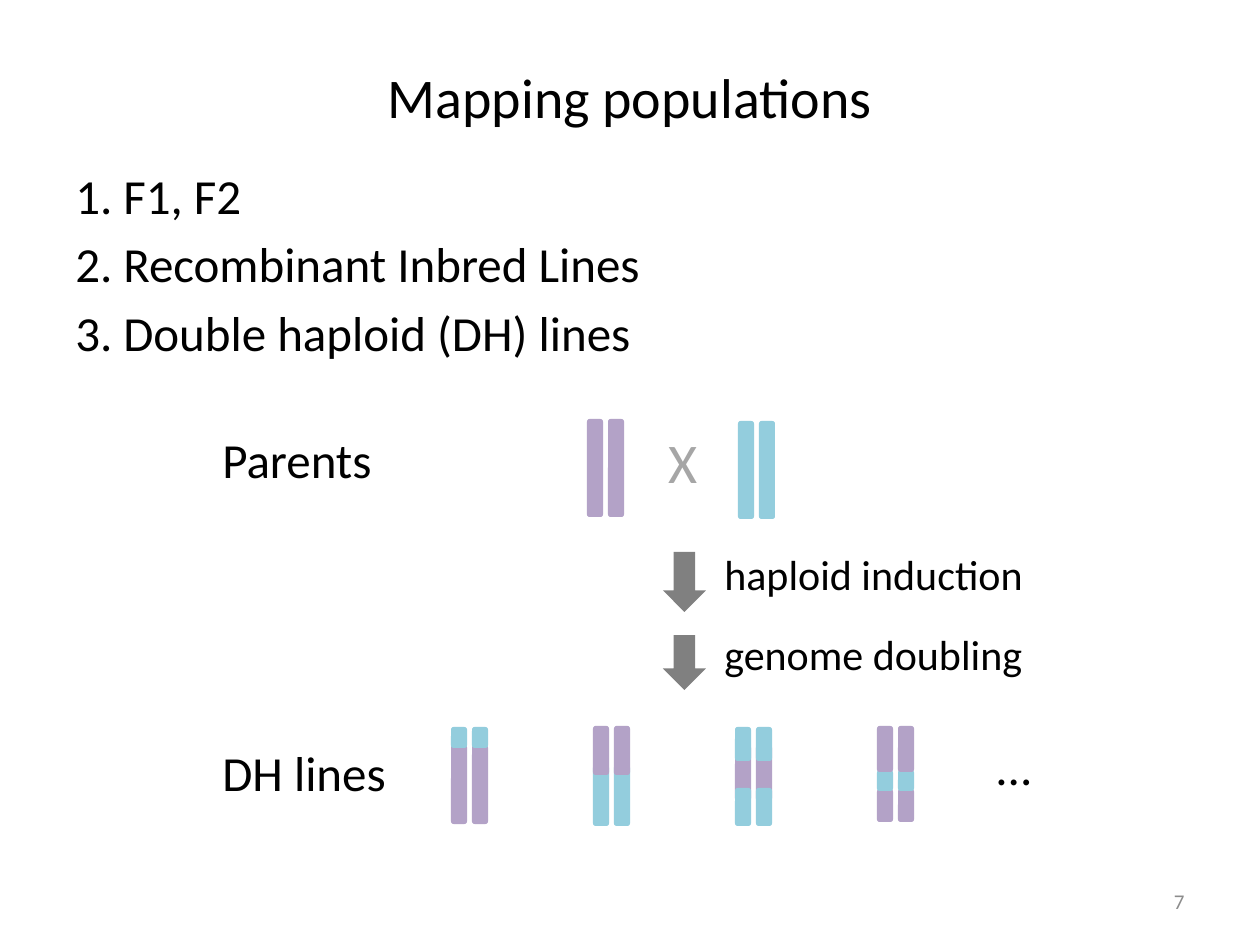
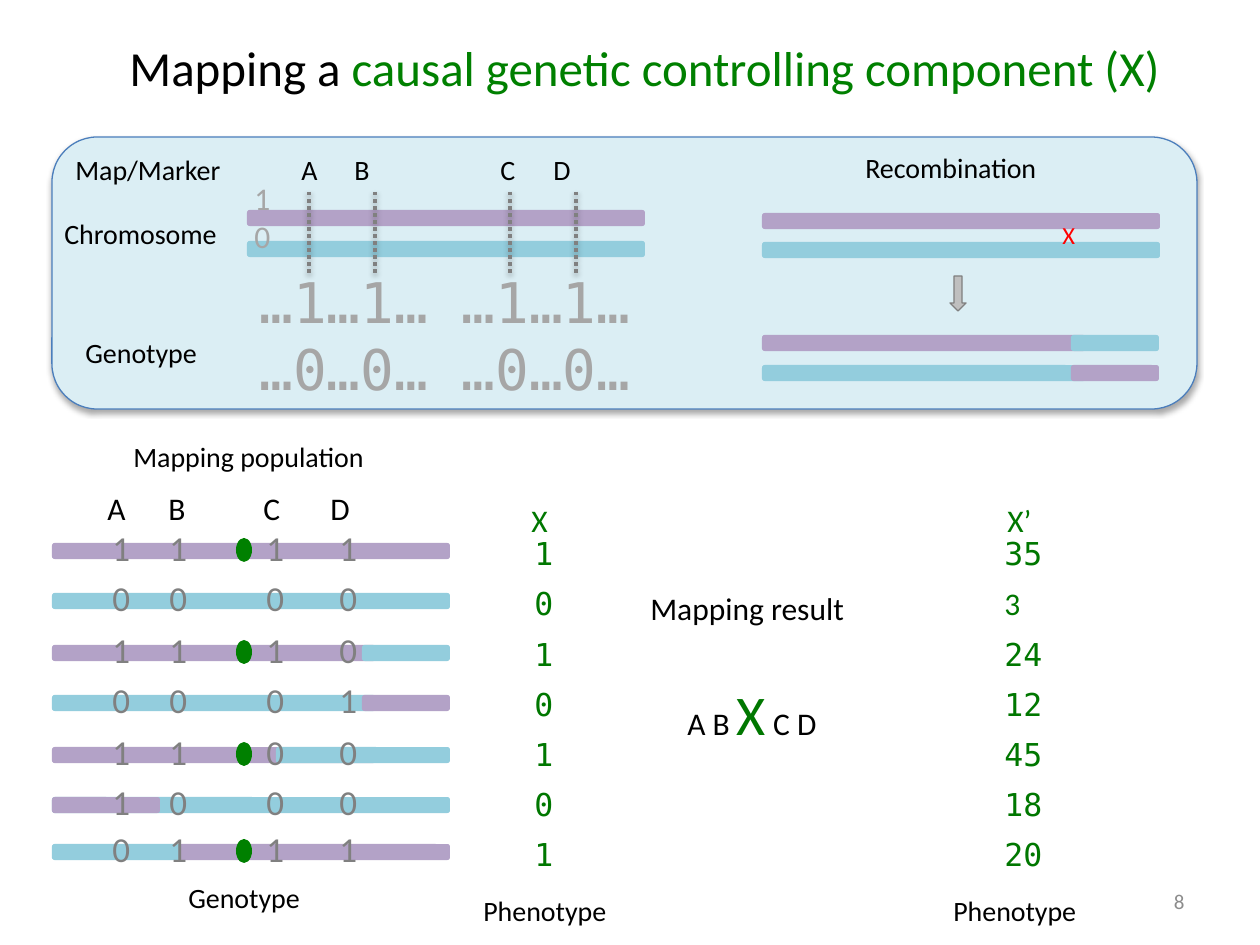
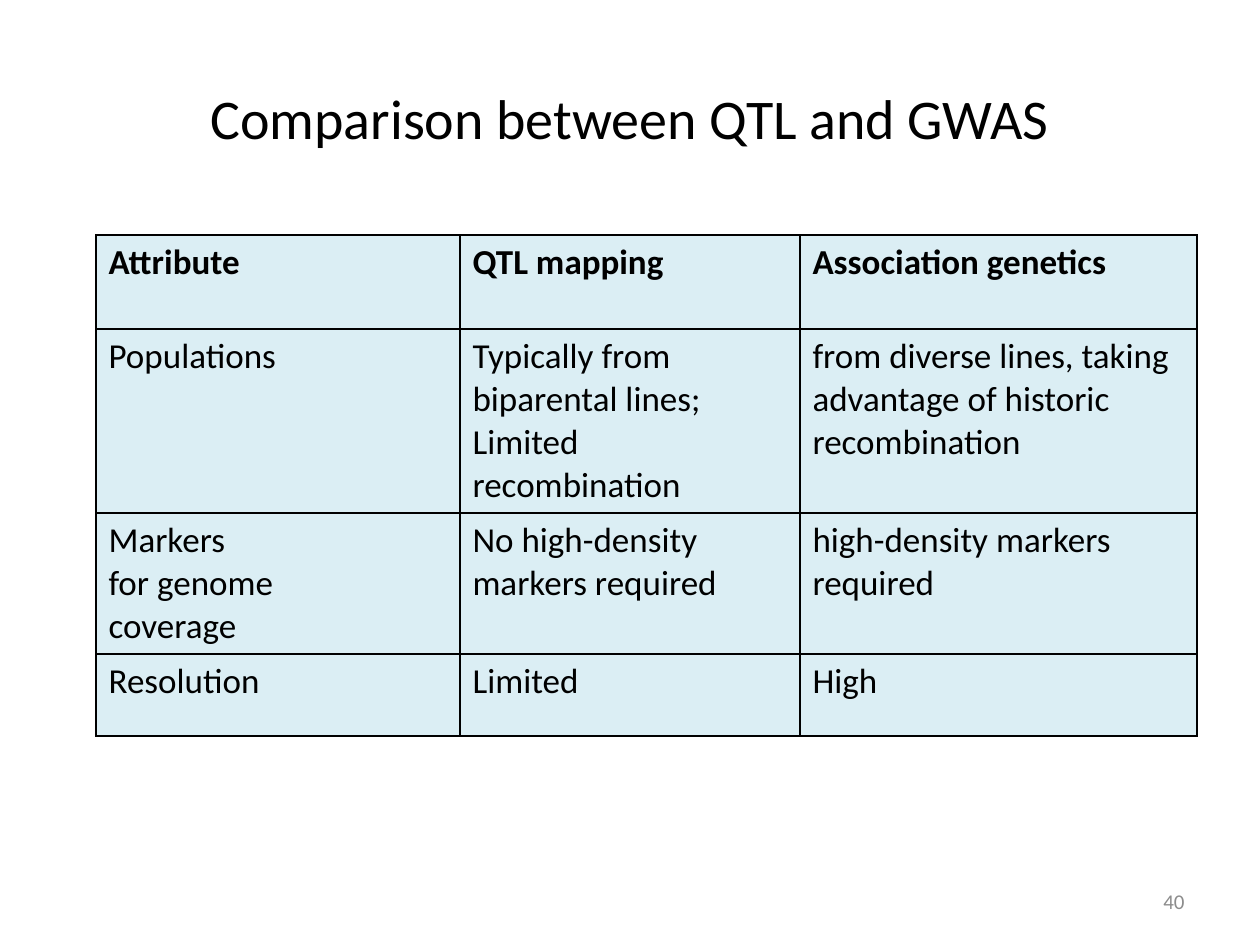
"""Build three slides on mapping populations, causal components and QTL versus GWAS."""
from dataclasses import dataclass

from lxml.etree import SubElement
from pptx import Presentation
from pptx.dml.color import RGBColor
from pptx.enum.dml import MSO_LINE
from pptx.enum.shapes import MSO_CONNECTOR, MSO_SHAPE
from pptx.enum.text import MSO_ANCHOR, MSO_AUTO_SIZE, PP_ALIGN
from pptx.oxml.ns import qn
from pptx.util import Pt


@dataclass(frozen=True)
class Theme:
    sans: str = "Calibri"
    mono: str = "DejaVu Sans Mono"
    ink: str = "000000"
    muted: str = "8C8C8C"
    gray: str = "808080"
    light_gray: str = "A6A6A6"
    arrow: str = "BFBFBF"
    purple: str = "B3A2C7"
    blue: str = "93CDDD"
    panel: str = "DBEEF4"
    panel_line: str = "4B7EBC"
    green: str = "008000"
    trait: str = "007700"
    red: str = "FF0000"
    title: int = 32
    subtitle: int = 28
    body: int = 28
    step: int = 24
    cell: int = 20
    score: int = 20
    value: int = 18
    label: int = 16
    mark: int = 14
    number: int = 12


T = Theme()
PX = 914400 / 126
P, B = T.purple, T.blue
BAR = 16
BAR_LENGTH = 398

POPULATIONS = ["F1, F2", "Recombinant Inbred Lines", "Double haploid (DH) lines"]
STEPS = ["haploid induction", "genome doubling"]
STEP_ARROWS = [(552, 60), (635, 55)]
PARENTS = [(587, 419, P), (738, 421, B)]
DH_LINES = [
    [(P, 745, 79), (B, 727, 21)],
    [(B, 765, 61), (P, 726, 49)],
    [(P, 745, 56), (B, 727, 34), (B, 788, 38)],
    [(P, 789, 33), (B, 770, 21), (P, 726, 46)],
]
DH_LABELS = [
    ("Parents", (210, 423, 200, 72)),
    ("DH lines", (210, 736, 210, 72)),
    ("...", (983, 730, 70, 72)),
]

SUBTITLE = [("Mapping a ", T.subtitle, T.ink),
            ("causal genetic controlling component (X)", T.subtitle, T.green)]
LABELS = [
    ("Map/Marker", 63, 146),
    ("Chromosome", 52, 210),
    ("Genotype", 73, 329),
    ("Recombination", 853, 144),
    ("Mapping population", 121, 433),
    ("Genotype", 176, 874),
    ("Phenotype", 471, 887),
    ("Phenotype", 941, 887),
]
MARKER_PAIRS = [("A\tB", 289), ("C\tD", 488)]
MARKER_LINES = [309, 375, 510, 576]
CHROMOSOMES = [
    (247, 210, [(P, 0, 398)]),
    (247, 241, [(B, 0, 398)]),
    (762, 242, [(B, 0, 398)]),
    (762, 213, [(P, 0, 398)]),
    (762, 365, [(B, 0, 324), (P, 309, 88)]),
    (762, 335, [(P, 0, 324), (B, 309, 88)]),
]
ALLELES = ["…1…1… …1…1…", "…0…0… …0…0…"]
INDIVIDUALS = [
    (543, [(P, 0, 398)], "1111", "1", "35"),
    (593, [(B, 0, 398)], "0000", "0", "3"),
    (645, [(P, 0, 324), (B, 310, 88)], "1110", "1", "24"),
    (695, [(B, 0, 324), (P, 310, 88)], "0001", "0", "12"),
    (747, [(P, 0, 324), (B, 224, 174)], "1100", "1", "45"),
    (797, [(B, 0, 398), (P, 0, 108)], "1000", "0", "18"),
    (844, [(B, 0, 136), (P, 127, 271)], "0111", "1", "20"),
]
RESULT = [("A B ", T.value, T.ink), ("X", T.title, T.trait), (" C D", T.value, T.ink)]

COMPARISON = [
    ("Attribute", "QTL mapping", "Association genetics"),
    ("Populations", "Typically from biparental lines; Limited recombination",
     "from diverse lines, taking advantage of historic recombination"),
    ("Markers\nfor genome\ncoverage", "No high-density markers required",
     "high-density markers required"),
    ("Resolution", "Limited", "High"),
]
COLUMNS = [364, 340, 397]
ROWS = [94, 184, 141, 82]


def px(n):
    return round(n * PX)


def rgb(color):
    return RGBColor.from_string(color)


def add_run(p, text, size, color, font=T.sans, bold=False):
    r = p.add_run()
    r.text = text
    r.font.name, r.font.size, r.font.bold = font, Pt(size), bold
    r.font.color.rgb = rgb(color)


def fill_text(tf, lines, size, color=T.ink, font=T.sans, align=PP_ALIGN.LEFT, bold=False):
    for i, line in enumerate(lines):
        p = tf.add_paragraph() if i else tf.paragraphs[0]
        p.alignment = align
        runs = [(line, size, color)] if isinstance(line, str) else line
        for run in runs:
            add_run(p, *run, font=font, bold=bold)


def add_text(s, box, lines, size, color=T.ink, tabs=(), **style):
    tf = s.shapes.add_textbox(*map(px, box)).text_frame
    tf.word_wrap = True
    fill_text(tf, lines, size, color, **style)
    if tabs:
        stops = SubElement(tf.paragraphs[0]._p.get_or_add_pPr(), qn("a:tabLst"))
        for stop in tabs:
            SubElement(stops, qn("a:tab"), pos=str(px(stop)), algn="l")
    return tf


def add_shape(s, kind, box, fill, line=None):
    sp = s.shapes.add_shape(kind, *map(px, box))
    sp.shadow.inherit = False
    sp.fill.solid()
    sp.fill.fore_color.rgb = rgb(fill)
    if line:
        sp.line.color.rgb = rgb(line)
        sp.line.width = Pt(0.75)
    else:
        sp.line.fill.background()
    return sp


def add_bar(s, x, y, w, h, color):
    add_shape(s, MSO_SHAPE.ROUNDED_RECTANGLE, (x, y, w, h), color)


def add_chromosome(s, x, y, segments):
    for color, offset, length in segments:
        add_bar(s, x + offset, y, length, BAR, color)


def add_pair(s, x, y, height, color):
    for chromatid in range(2):
        add_bar(s, x + 21 * chromatid, y, BAR, height, color)


def add_shadow(effects, alpha, dist):
    outer = SubElement(effects, qn("a:outerShdw"), blurRad=str(Pt(3.1)), dist=str(Pt(dist)),
                       dir="5400000", algn="ctr", rotWithShape="0")
    color = SubElement(outer, qn("a:srgbClr"), val=T.ink)
    SubElement(color, qn("a:alpha"), val=str(alpha * 1000))


def add_marker_line(s, x):
    c = s.shapes.add_connector(MSO_CONNECTOR.STRAIGHT, *map(px, (x, 192, x, 275)))
    c.line.color.rgb = rgb(T.gray)
    c.line.width = Pt(2)
    c.line.dash_style = MSO_LINE.ROUND_DOT
    add_shadow(SubElement(c._element.spPr, qn("a:effectLst")), 38, 1.6)


def new_slide(prs, title, box, number):
    s = prs.slides.add_slide(prs.slide_layouts[5])
    sp = s.shapes.title
    sp.left, sp.top, sp.width, sp.height = map(px, box)
    tf = sp.text_frame
    tf.auto_size, tf.vertical_anchor = MSO_AUTO_SIZE.NONE, MSO_ANCHOR.MIDDLE
    fill_text(tf, [title], T.title, align=PP_ALIGN.CENTER)
    tf = add_text(s, (903, 876, 294, 50), [number], T.number, T.muted, align=PP_ALIGN.RIGHT)
    tf.vertical_anchor = MSO_ANCHOR.MIDDLE
    return s


def populations_slide(prs):
    s = new_slide(prs, "Mapping populations", (63, 38, 1134, 117), "7")
    tf = add_text(s, (63, 159, 640, 214), POPULATIONS, T.body)
    for i, p in enumerate(tf.paragraphs):
        if i:
            p.space_before = Pt(5.6)
        pPr = p._p.get_or_add_pPr()
        pPr.set("marL", str(px(48)))
        pPr.set("indent", str(px(-48)))
        SubElement(pPr, qn("a:buFont"), typeface="+mj-lt")
        SubElement(pPr, qn("a:buAutoNum"), type="arabicPeriod")
    for x, y, color in PARENTS:
        add_pair(s, x, y, 98, color)
    for i, segments in enumerate(DH_LINES):
        for color, y, height in segments:
            add_pair(s, 451 + 142 * i, y, height, color)
    add_text(s, (656, 421, 60, 81), ["X"], T.title, T.light_gray)
    for y, height in STEP_ARROWS:
        add_shape(s, MSO_SHAPE.DOWN_ARROW, (663, y, 43, height), T.gray)
    for text, box in DH_LABELS:
        add_text(s, box, [text], T.body)
    tf = add_text(s, (712, 552, 413, 136), STEPS, T.step)
    for p in tf.paragraphs:
        p.line_spacing = 0.8
    tf.paragraphs[1].space_before = Pt(23)


def causal_slide(prs):
    s = new_slide(prs, SUBTITLE, (60, 28, 1169, 77), "8")
    panel = add_shape(s, MSO_SHAPE.ROUNDED_RECTANGLE, (52, 137, 1145, 272), T.panel, T.panel_line)
    add_shadow(panel._element.spPr.find(qn("a:effectLst")), 35, 1.8)
    for chromosome in CHROMOSOMES:
        add_chromosome(s, *chromosome)
    add_text(s, (242, 173, 49, 115), ["1", "0"], T.value, T.light_gray)
    add_shape(s, MSO_SHAPE.DOWN_ARROW, (950, 276, 16, 35), T.arrow, T.gray)
    add_text(s, (1050, 214, 40, 43), ["X"], T.mark, T.red)
    for text, x, y in LABELS:
        add_text(s, (x, y, 280, 47), [text], T.label)
    for text, x in MARKER_PAIRS:
        add_text(s, (x, 146, 120, 47), [text], T.label, tabs=[53])
    add_text(s, (247, 261, 410, 149), ALLELES, T.title, T.light_gray, font=T.mono)
    for x in MARKER_LINES:
        add_marker_line(s, x)

    add_text(s, (95, 483, 333, 50), ["A\tB\tC\tD"], T.value, tabs=[61, 156, 223])
    add_text(s, (519, 495, 49, 50), ["X"], T.value, T.trait)
    add_text(s, (995, 495, 68, 50), ["X’"], T.value, T.trait)
    for i, (y, segments, scores, trait, amount) in enumerate(INDIVIDUALS):
        add_chromosome(s, 52, y, segments)
        add_text(s, (100, y - 23, 320, 55), ["\t".join(scores)], T.score, T.gray,
                 tabs=[57, 154, 227])
        if trait == "1":
            add_shape(s, MSO_SHAPE.OVAL, (236, y - 5, 16, 24), T.green)
        top = 528 + 50.2 * i
        add_text(s, (522, top, 49, 50), [trait], T.value, T.trait, font=T.mono)
        add_text(s, (992, top, 79, 50), [amount], T.value, T.trait,
                 font=T.mono if len(amount) > 1 else T.sans)
    add_text(s, (638, 583, 305, 63), ["Mapping result"], T.value)
    add_text(s, (675, 673, 228, 81), [RESULT], T.value)


def comparison_slide(prs):
    s = new_slide(prs, "Comparison between QTL and GWAS", (63, 38, 1134, 158), "40")
    box = (96, 235, sum(COLUMNS), sum(ROWS))
    table = s.shapes.add_table(len(ROWS), len(COLUMNS), *map(px, box)).table
    table.first_row = table.horz_banding = False
    for column, width in zip(table.columns, COLUMNS):
        column.width = px(width)
    for i, (height, texts) in enumerate(zip(ROWS, COMPARISON)):
        table.rows[i].height = px(height)
        for j, text in enumerate(texts):
            cell = table.cell(i, j)
            fill_text(cell.text_frame, text.split("\n"), T.cell, bold=i == 0)
            tcPr = cell._tc.get_or_add_tcPr()
            for side in ("lnL", "lnR", "lnT", "lnB"):
                ln = SubElement(tcPr, qn(f"a:{side}"), w=str(Pt(1)))
                SubElement(SubElement(ln, qn("a:solidFill")), qn("a:srgbClr"), val=T.ink)
            cell.fill.solid()
            cell.fill.fore_color.rgb = rgb(T.panel)


def main():
    prs = Presentation()
    prs.slide_width, prs.slide_height = px(1260), px(945)
    populations_slide(prs)
    causal_slide(prs)
    comparison_slide(prs)
    prs.save("out.pptx")


if __name__ == "__main__":
    main()
